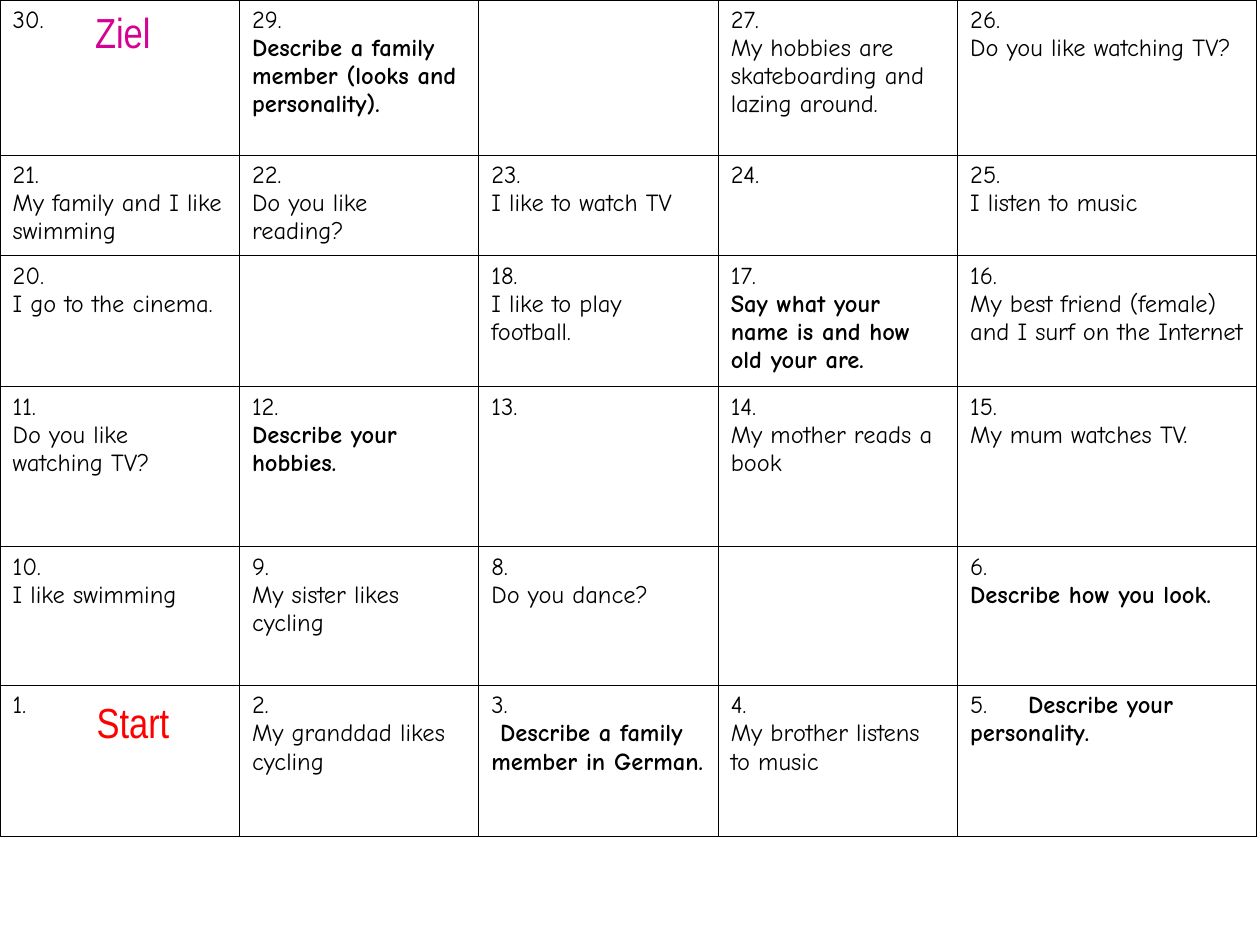
from lxml import etree
from pptx import Presentation
from pptx import util as u
from pptx.dml.color import RGBColor
from pptx.enum import text as t
from pptx.oxml.ns import qn

BLACK = RGBColor(0x00, 0x00, 0x00)
PINK = RGBColor(0xD6, 0x00, 0x93)
RED = RGBColor(0xFF, 0x00, 0x00)
HAND, NARROW = "Comic Neue", "Arial Narrow"
LINE = u.Pt(0.45)

WIDTHS = [1.9, 1.9, 1.9, 1.9, 2.37]
HEIGHTS = [1.23, 0.8, 1.04, 1.27, 1.1, 1.2]
BOLD = {3, 5, 6, 12, 17, 29}
BOARD = [
    [(30, ""), (29, "Describe a family member (looks and personality)."), None,
     (27, "My hobbies are skateboarding and lazing around."),
     (26, "Do you like watching TV?")],
    [(21, "My family and I like swimming"), (22, "Do you like reading?"),
     (23, "I like to watch TV"), (24, ""), (25, "I listen to music")],
    [(20, "I go to the cinema."), None, (18, "I like to play football."),
     (17, "Say what your name is and how old your are."),
     (16, "My best friend (female) and I surf on the Internet")],
    [(11, "Do you like watching TV?"), (12, "Describe your hobbies."), (13, ""),
     (14, "My mother reads a book"), (15, "My mum watches TV.")],
    [(10, "I like swimming"), (9, "My sister likes cycling"), (8, "Do you dance?"),
     None, (6, "Describe how you look.")],
    [(1, ""), (2, "My granddad likes cycling"),
     (3, " Describe a family member in German."),
     (4, "My brother listens to music"), (5, "\tDescribe your personality.")],
]
LABELS = [("Ziel", 0.35, 0, PINK), ("Start", 0.43, 5.48, RED)]


def write(para, words, font=HAND, size=14, color=BLACK, bold=False):
    run = para.add_run()
    run.text = words
    run.font.name, run.font.size, run.font.bold = font, u.Pt(size), bold
    run.font.color.rgb = color


def add_tab(para, stop):
    tabs = etree.SubElement(para._p.get_or_add_pPr(), qn("a:tabLst"))
    etree.SubElement(tabs, qn("a:tab"), pos=str(u.Inches(stop)), algn="l")


def frame(cell):
    cell.fill.background()
    props = cell._tc.get_or_add_tcPr()
    for spot, side in enumerate(("lnL", "lnR", "lnT", "lnB")):
        edge = etree.Element(qn("a:" + side), w=str(LINE))
        fill = etree.SubElement(edge, qn("a:solidFill"))
        etree.SubElement(fill, qn("a:srgbClr"), val=str(BLACK))
        props.insert(spot, edge)


def fill_cell(cell, number, words):
    para = cell.text_frame.paragraphs[0]
    write(para, f"{number}.")
    if words.startswith("\t"):
        add_tab(para, 0.46)
    elif words:
        para = cell.text_frame.add_paragraph()
    if words:
        write(para, words, bold=number in BOLD)


def main():
    deck = Presentation()
    deck.slide_width, deck.slide_height = u.Inches(10), u.Inches(7.5)
    slide = deck.slides.add_slide(deck.slide_layouts[6])

    grid = slide.shapes.add_table(
        len(HEIGHTS), len(WIDTHS), 0, 0,
        u.Inches(sum(WIDTHS)), u.Inches(sum(HEIGHTS))).table
    grid.first_row = grid.horz_banding = False
    for col, width in zip(grid.columns, WIDTHS):
        col.width = u.Inches(width)
    for row, height, items in zip(grid.rows, HEIGHTS, BOARD):
        row.height = u.Inches(height)
        for cell, item in zip(row.cells, items):
            frame(cell)
            if item:
                fill_cell(cell, *item)

    for words, left, top, color in LABELS:
        box = slide.shapes.add_textbox(
            u.Inches(left), u.Inches(top), u.Inches(1.25), u.Inches(1.13))
        box.text_frame.word_wrap = False
        para = box.text_frame.paragraphs[0]
        para.alignment = t.PP_ALIGN.CENTER
        write(para, words, font=NARROW, size=24, color=color)

    deck.save("out.pptx")


if __name__ == "__main__":
    main()
